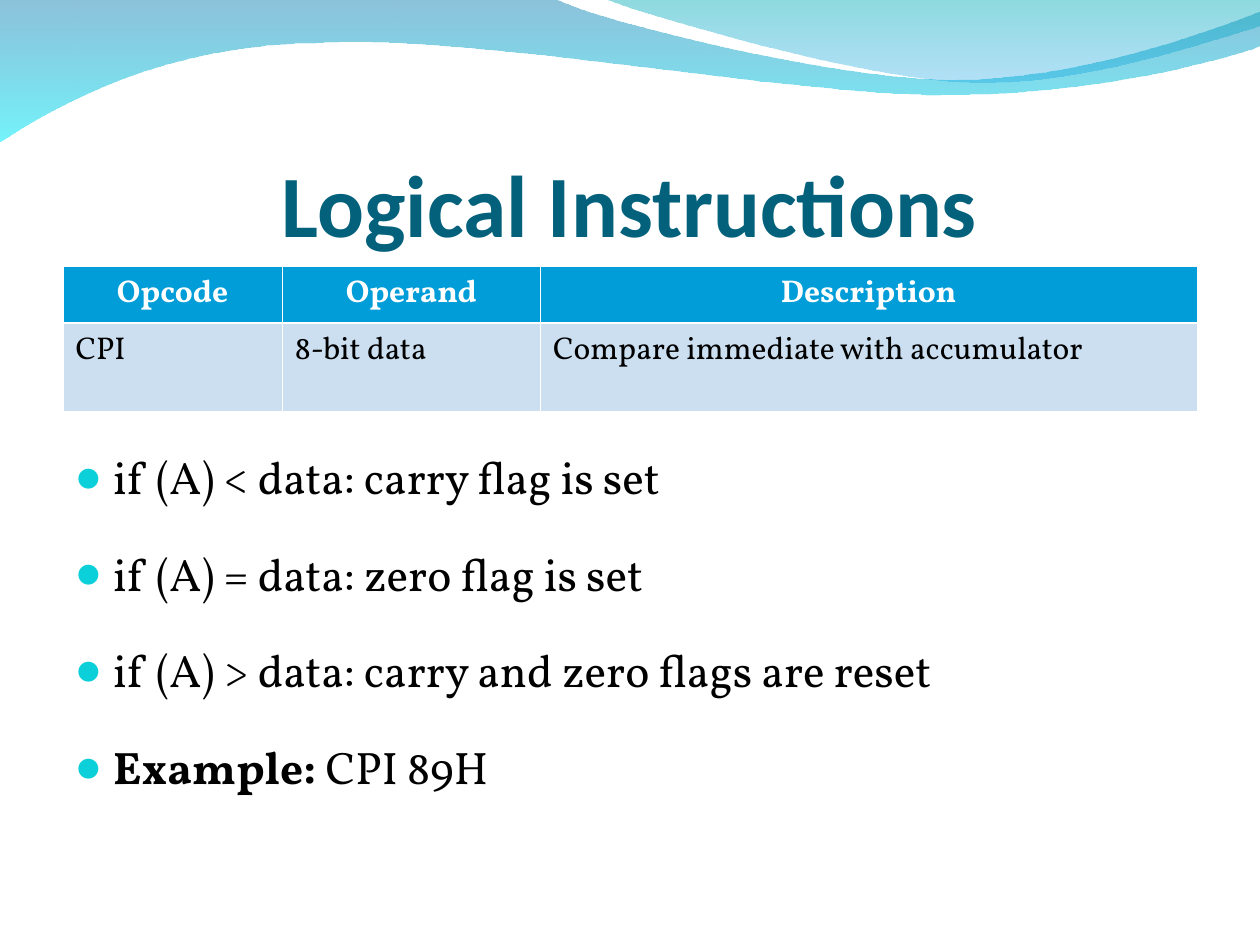
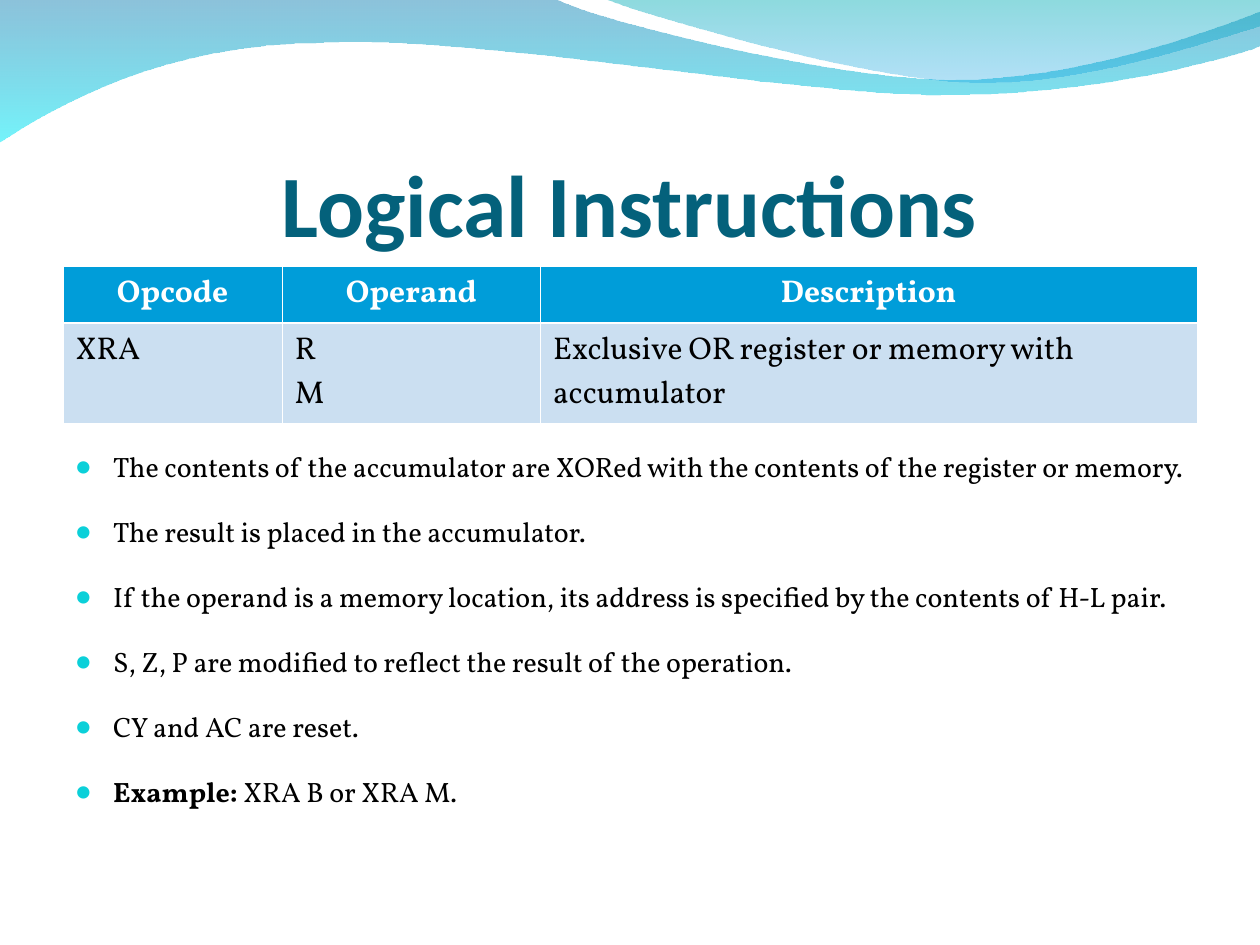
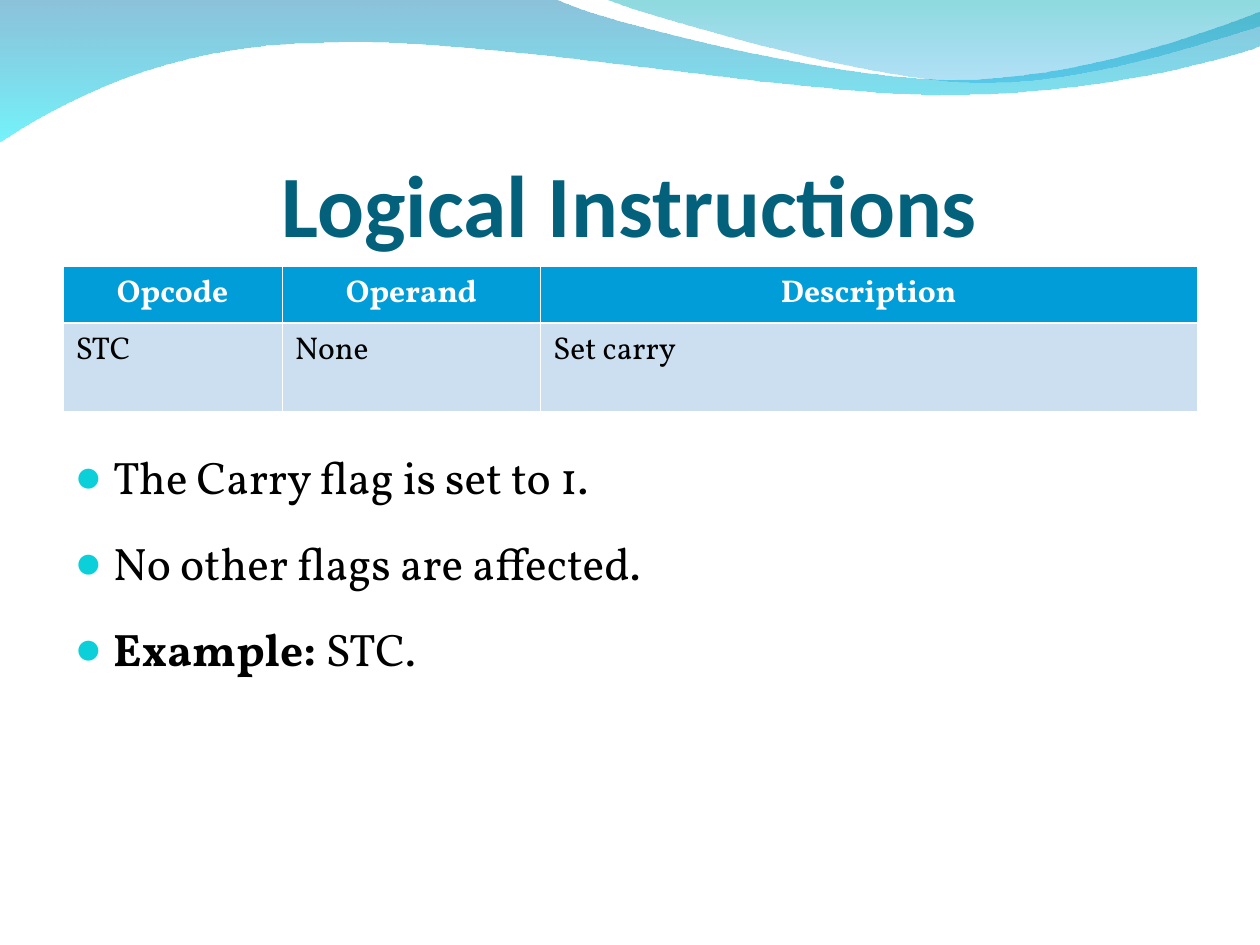
import pptx
import pptx.util
import pptx.oxml
import pptx.oxml.ns
import pptx.dml.color
import pptx.enum.text


class Theme:
    head, text = "Calibri", "Vollkorn"
    title, white, black = "04617B", "FFFFFF", "000000"
    blue, pale, dot = "009DD9", "CBDFF1", "0BD0D9"
    title_size, cell_size, big, small = 50, 18, 26, 16
    thin, thick = 0.45, 1.47


def style(font, name, size, tint, bold=False):
    font.name, font.size, font.bold = name, pptx.util.Pt(size), bold
    font.color.rgb = pptx.dml.color.RGBColor.from_string(tint)


def add_xml(host, tag, rest):
    """Append a drawing element; rest holds its attributes and content."""
    space = pptx.oxml.ns.nsdecls("a")
    host.append(pptx.oxml.parse_xml(f"<a:{tag} {space} {rest}</a:{tag}>"))
    return host[-1]


# Page and grid: 20 columns by 75 rows
deck = pptx.Presentation()
deck.slide_width = pptx.util.Inches(10)
deck.slide_height = pptx.util.Inches(7.5)
col = deck.slide_width / 20
row = deck.slide_height / 75
layout = deck.slide_layouts[5]
left, wide = int(col), int(18 * col)

# Waves in inches: a start, then lines (one point) and curves (three points)
waves = [
    ((0, -0.01), [
        [(4.4, -0.01)],
        [(4.76, 0.17), (6.64, 0.63), (7.58, 0.63)],
        [(8.53, 0.63), (9.58, 0.26), (10, 0.09)],
        [(10.01, 0.36)],
        [(9.83, 0.44), (8.7, 0.76), (7.46, 0.75)],
        [(6.22, 0.75), (3.82, 0.28), (2.57, 0.34)],
        [(1.29, 0.35), (0.46, 0.83), (-0.01, 1.13)],
        [(0, -0.01)],
    ], [("0079AF", 45), ("00EBF8", 55)]),
    ((4.79, -0.01), [
        [(5.09, 0.11), (6.82, 0.62), (7.69, 0.65)],
        [(8.56, 0.69), (9.61, 0.32), (10, 0.21)],
        [(10, 0)],
        [(4.79, -0.01)],
    ], [("00ADB6", 45), ("009BE5", 30)]),
]

# Slide content: opcode row, bullets, example, text size, gap after
heads = ["Opcode", "Operand", "Description"]
spans = [3.48, 4.1, 10.42]
pages = [
    (["CPI", "8-bit data", "Compare immediate with accumulator"],
     ["if (A) < data: carry flag is set",
      "if (A) = data: zero flag is set",
      "if (A) > data: carry and zero flags are reset"],
     "CPI 89H", Theme.big, 24),
    (["XRA", "R\nM", "Exclusive OR register or memory with accumulator"],
     ["The contents of the accumulator are XORed with the contents of the register or memory.",
      "The result is placed in the accumulator.",
      "If the operand is a memory location, its address is specified by the contents of H-L pair.",
      "S, Z, P are modified to reflect the result of the operation.",
      "CY and AC are reset."],
     "XRA B or XRA M.", Theme.small, 18),
    (["STC", "None", "Set carry"],
     ["The Carry flag is set to 1.", "No other flags are affected."],
     "STC.", Theme.big, 18),
]
slides = [deck.slides.add_slide(layout) for page in pages]

# Draw the waves once and move them to the shared layout
for spot, (start, parts, stops) in enumerate(waves):
    points = [(x * 2 * col, y * 10 * row) for part in [[start], *parts] for x, y in part]
    pen = slides[0].shapes.build_freeform(*points[0])
    pen.add_line_segments(points[1:], close=False)
    wave = pen.convert_to_shape()
    wave.shadow.inherit = False
    wave.line.fill.background()
    wave.fill.background()
    frame = wave.element.spPr

    # Join each run of three control points into one curve
    trace = frame.find(".//" + pptx.oxml.ns.qn("a:path"))
    lines = iter(list(trace)[1:])
    for part in parts:
        group = [next(lines) for point in part]
        if len(group) == 3:
            curve = add_xml(trace, "cubicBezTo", ">")
            trace.replace(group[0], curve)
            for line in group:
                curve.append(line[0])
            for line in group[1:]:
                trace.remove(line)
    add_xml(trace, "close", ">")

    shades = "".join(
        f'<a:gs pos="{pos}"><a:srgbClr val="{tint}"><a:alpha val="{alpha * 1000}"/></a:srgbClr></a:gs>'
        for pos, (tint, alpha) in zip((0, 100000), stops))
    blend = add_xml(frame, "gradFill", f'rotWithShape="1"><a:gsLst>{shades}</a:gsLst>'
                                       '<a:lin ang="5400000" scaled="0"/>')
    frame.replace(frame.find(pptx.oxml.ns.qn("a:noFill")), blend)
    layout.shapes.element.insert(2 + spot, wave.element)

for slide, (cells, notes, sample, size, gap) in zip(slides, pages):
    # Title
    title = slide.shapes.title
    title.left, title.top = left, int(7.75 * row)
    title.width, title.height = wide, int(12.5 * row)
    frame = title.text_frame
    frame.text = "Logical Instructions"
    frame.word_wrap = True
    frame.vertical_anchor = pptx.enum.text.MSO_ANCHOR.BOTTOM
    frame.margin_left = frame.margin_right = frame.margin_bottom = 0
    frame.margin_top = pptx.util.Inches(0.05)
    frame.paragraphs[0].alignment = pptx.enum.text.PP_ALIGN.CENTER
    style(frame.paragraphs[0].runs[0].font, Theme.head, Theme.title_size, Theme.title, True)

    # Opcode table
    table = slide.shapes.add_table(2, 3, left, int(21.15 * row), wide, int(11.1 * row)).table
    for line, high in zip(table.rows, (4.1, 7)):
        line.height = int(high * row)
    for band, span in zip(table.columns, spans):
        band.width = int(span * col)
    for r, texts in enumerate([heads, cells]):
        top = r == 0
        for c, text in enumerate(texts):
            cell = table.cell(r, c)
            cell.text_frame.text = text
            for para in cell.text_frame.paragraphs:
                if top:
                    para.alignment = pptx.enum.text.PP_ALIGN.CENTER
                style(para.runs[0].font, Theme.text, Theme.cell_size,
                      Theme.white if top else Theme.black, top)
            edges = cell._tc.get_or_add_tcPr()
            for side in ("lnL", "lnR", "lnT", "lnB"):
                mid = side == ("lnB" if top else "lnT")
                width = pptx.util.Pt(Theme.thick if mid else Theme.thin)
                add_xml(edges, side, f'w="{width}"><a:solidFill>'
                                     f'<a:srgbClr val="{Theme.white}"/></a:solidFill>')
            cell.fill.solid()
            cell.fill.fore_color.rgb = pptx.dml.color.RGBColor.from_string(
                Theme.blue if top else Theme.pale)

    # Bullets, the last one with a bold label
    box = slide.shapes.add_textbox(left, int(35.17 * row), wide, int(34 * row))
    frame = box.text_frame
    frame.word_wrap = True
    frame.text = "\n".join([*notes, "Example:"])
    for para in frame.paragraphs:
        para.space_after = pptx.util.Pt(gap)
        props = para._p.get_or_add_pPr()
        indent = pptx.util.Inches(0.3)
        props.set("marL", str(indent))
        props.set("indent", str(-indent))
        add_xml(props, "buClr", f'><a:srgbClr val="{Theme.dot}"/>')
        add_xml(props, "buSzPct", 'val="95000">')
        add_xml(props, "buFont", f'typeface="{Theme.head}">')
        add_xml(props, "buChar", 'char="●">')
        style(para.runs[0].font, Theme.text, size, Theme.black)
    para.runs[0].font.bold = True
    tail = para.add_run()
    tail.text = " " + sample
    style(tail.font, Theme.text, size, Theme.black)

deck.save("out.pptx")
